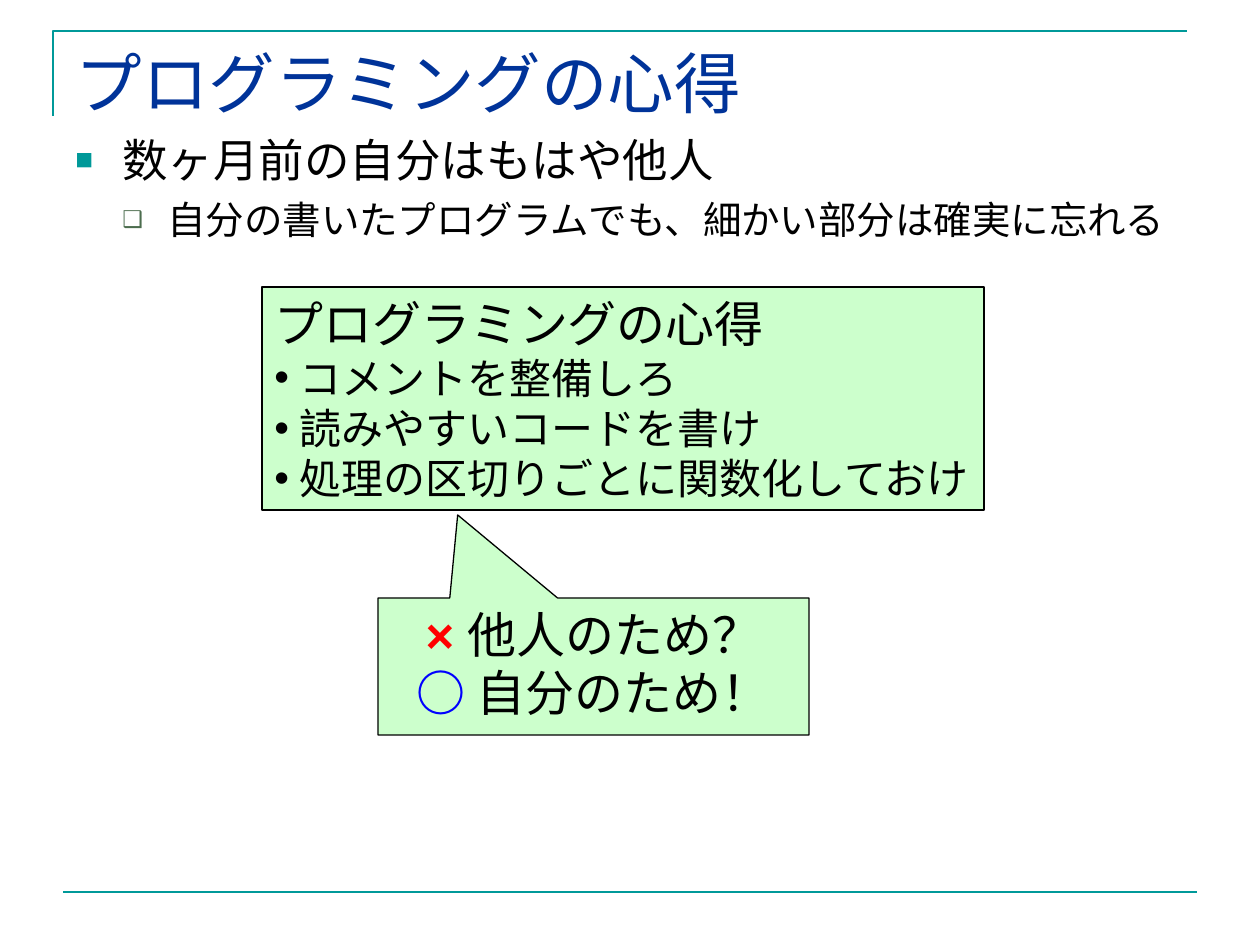
from lxml.etree import SubElement
from pptx import Presentation
from pptx.dml.color import RGBColor
from pptx.enum.shapes import MSO_CONNECTOR as Connector, MSO_SHAPE as Shape
from pptx.enum.text import MSO_ANCHOR as Anchor, MSO_AUTO_SIZE as AutoSize, PP_ALIGN as Align
from pptx.oxml.ns import qn
from pptx.util import Emu, Pt

TEAL = RGBColor(0x00, 0x99, 0x99)
NAVY = RGBColor(0x00, 0x33, 0x99)
MOSS = RGBColor(0x4C, 0x6D, 0x4E)
MINT = RGBColor(0xCC, 0xFF, 0xCC)
BLACK = RGBColor(0x00, 0x00, 0x00)
RED = RGBColor(0xFF, 0x00, 0x00)
BLUE = RGBColor(0x00, 0x00, 0xFF)
SCALE = 914400 / 126


def px(length):
    return Emu(round(length * SCALE))


def box(*lengths):
    return [px(length) for length in lengths]


def add_run(paragraph, text, size, color=BLACK, bold=False, font="Arial"):
    run = paragraph.add_run()
    run.text = text
    run.font.name = font
    run.font.size = Pt(size)
    run.font.bold = bold
    run.font.color.rgb = color


def next_paragraph(frame):
    return frame.paragraphs[0] if not frame.paragraphs[0].runs else frame.add_paragraph()


def set_indent(paragraph, left, hanging, level=0):
    paragraph.level = level
    props = paragraph._p.get_or_add_pPr()
    props.set("marL", str(px(left)))
    props.set("indent", str(-px(hanging)))
    return props


def set_bullet(props, mark, color, percent=100):
    SubElement(SubElement(props, qn("a:buClr")), qn("a:srgbClr"), val=str(color))
    SubElement(props, qn("a:buSzPct"), val=str(percent * 1000))
    SubElement(props, qn("a:buFont"), typeface="Arial")
    SubElement(props, qn("a:buChar"), char=mark)


def add_frame_lines(slide):
    outline = slide.shapes.build_freeform(53, 116, scale=SCALE)
    outline.add_line_segments([(53, 31), (1187, 31)], close=False)
    corner = outline.convert_to_shape()
    corner.shadow.inherit = False
    corner.fill.background()
    footer = slide.shapes.add_connector(Connector.STRAIGHT, *box(63, 892, 1197, 892))
    SubElement(footer._element.spPr, qn("a:effectLst"))
    for rule in (corner, footer):
        rule.line.color.rgb = TEAL
        rule.line.width = Pt(1.5)


def set_title(slide, text):
    title = slide.shapes.title
    title.left, title.top, title.width, title.height = box(63, 38, 1134, 88)
    frame = title.text_frame
    frame.auto_size = AutoSize.NONE
    frame.vertical_anchor = Anchor.MIDDLE
    paragraph = frame.paragraphs[0]
    paragraph.alignment = Align.LEFT
    add_run(paragraph, text, 38, NAVY, font="Times New Roman")


def add_outline(slide):
    frame = slide.shapes.add_textbox(*box(63, 126, 1134, 718)).text_frame
    frame.word_wrap = True
    points = [
        ("数ヶ月前の自分はもはや他人", 26, 47, 47, "■", TEAL, 65, 6.5),
        ("自分の書いたプログラムでも、細かい部分は確実に忘れる", 22, 92, 45, "❑", MOSS, 60, 5.5),
    ]
    for level, (text, size, left, hanging, mark, color, percent, gap) in enumerate(points):
        paragraph = next_paragraph(frame)
        set_bullet(set_indent(paragraph, left, hanging, level), mark, color, percent)
        if level:
            paragraph.space_before = Pt(gap)
        add_run(paragraph, text, size)


def add_panel(slide, kind, bounds, line_width):
    panel = slide.shapes.add_shape(kind, *box(*bounds))
    panel.shadow.inherit = False
    panel.fill.solid()
    panel.fill.fore_color.rgb = MINT
    panel.line.color.rgb = BLACK
    panel.line.width = Pt(line_width)
    panel.text_frame.vertical_anchor = Anchor.TOP
    return panel


def add_rules(slide, heading, rules):
    frame = add_panel(slide, Shape.RECTANGLE, (262, 287, 722, 223), 1).text_frame
    frame.word_wrap = False
    frame.auto_size = AutoSize.SHAPE_TO_FIT_TEXT
    for text in (heading, *rules):
        paragraph = next_paragraph(frame)
        paragraph.alignment = Align.LEFT
        props = set_indent(paragraph, 25, 25)
        if text in rules:
            set_bullet(props, "•", BLACK)
        add_run(paragraph, text, 24 if text in rules else 28)


def add_callout(slide, answers):
    callout = add_panel(slide, Shape.RECTANGULAR_CALLOUT, (378, 598, 431, 137), 0.75)
    callout.adjustments[0] = -0.315
    callout.adjustments[1] = -1.106
    callout.text_frame.word_wrap = True
    for mark, color, text in answers:
        paragraph = next_paragraph(callout.text_frame)
        paragraph.alignment = Align.CENTER
        add_run(paragraph, mark, 28, color, bold=True)
        add_run(paragraph, text, 28)


def main():
    deck = Presentation()
    deck.slide_width, deck.slide_height = box(1260, 945)
    slide = deck.slides.add_slide(deck.slide_layouts[5])
    add_frame_lines(slide)
    set_title(slide, "プログラミングの心得")
    add_outline(slide)
    add_rules(slide, "プログラミングの心得", (
        "コメントを整備しろ",
        "読みやすいコードを書け",
        "処理の区切りごとに関数化しておけ",
    ))
    add_callout(slide, [
        ("× ", RED, "他人のため？"),
        ("○", BLUE, " 自分のため！"),
    ])
    deck.save("out.pptx")


if __name__ == "__main__":
    main()
